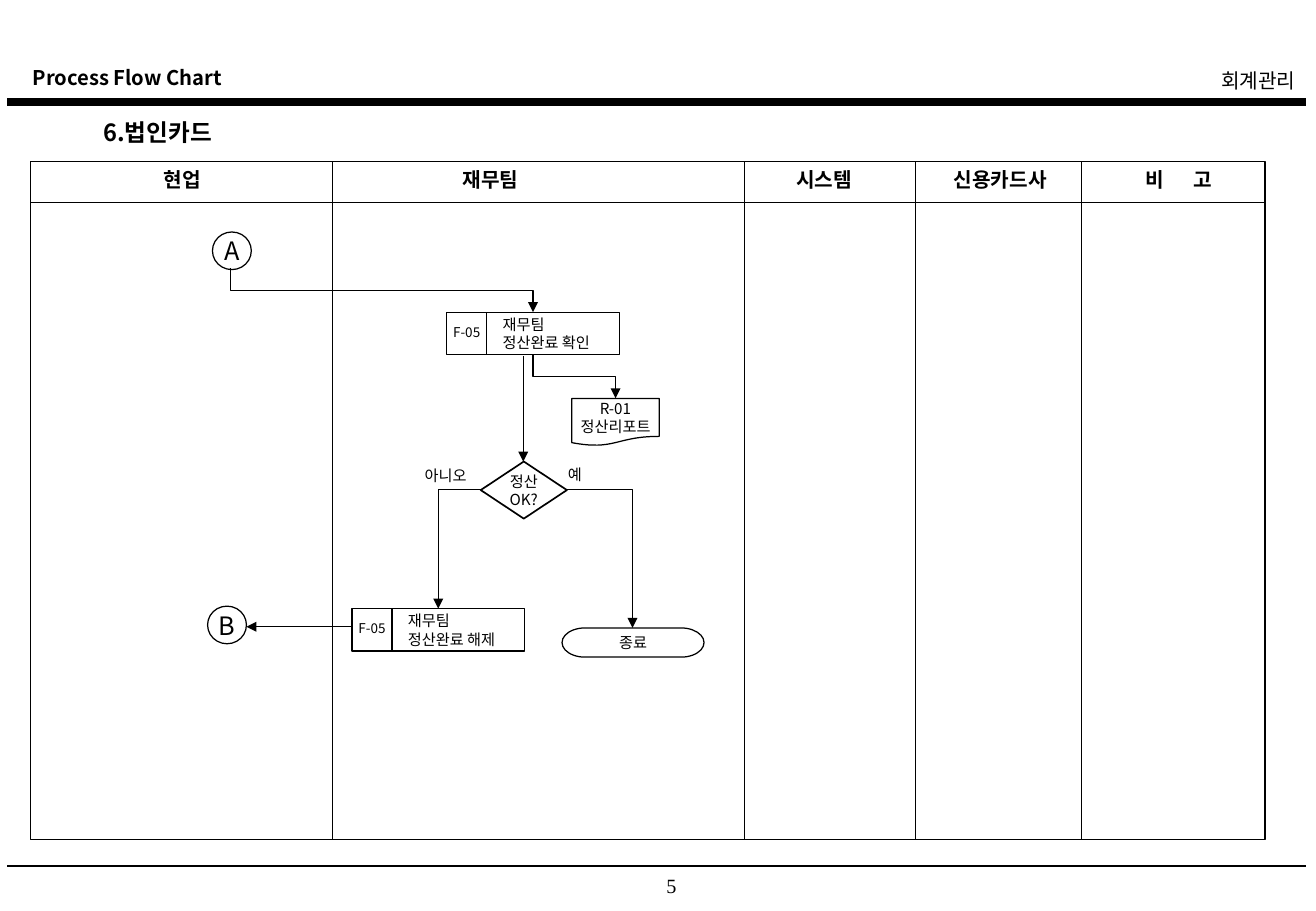
from dataclasses import dataclass

from lxml import etree
from pptx import Presentation, util as u
from pptx.dml.color import RGBColor
from pptx.enum import shapes as kinds, text as t
from pptx.oxml import ns


@dataclass(frozen=True)
class Theme:
    ink: RGBColor = RGBColor(0, 0, 0)
    font: str = "Noto Sans CJK KR"
    number_font: str = "Times New Roman"
    title: float = 14
    header: float = 12
    marker: float = 15
    body: float = 9
    code: float = 8
    thin: float = 0.75
    medium: float = 1
    thick: float = 4.5


theme = Theme()
KIND, ALIGN, ANCHOR = kinds.MSO_SHAPE, t.PP_ALIGN, t.MSO_ANCHOR

presentation = Presentation()
presentation.slide_width, presentation.slide_height = u.Inches(10.84), u.Inches(7.5)
slide = presentation.slides.add_slide(presentation.slide_layouts[5])


def place(words, box, kind=None, owner=slide, shape=None, size=theme.body, bold=False,
          font=theme.font, align=ALIGN.CENTER, anchor=ANCHOR.TOP,
          insets=(0.1, 0.05, 0.1, 0.05), wrap=True, weight=theme.thin, gap=0):
    """Put text in a box, an outlined shape or a given placeholder.

    box is left, top, width, height in inches; gap spreads the letters, in points.
    """
    left, top, width, height = map(u.Inches, box)
    if kind is not None:
        shape = owner.shapes.add_shape(kind, left, top, width, height)
        shape.shadow.inherit = False
        shape.fill.background()
        shape.line.color.rgb = theme.ink
        shape.line.width = u.Pt(weight)
    elif shape is None:
        shape = owner.shapes.add_textbox(left, top, width, height)
    shape.left, shape.top, shape.width, shape.height = left, top, width, height
    frame = shape.text_frame
    frame.auto_size = t.MSO_AUTO_SIZE.NONE
    frame.word_wrap = wrap
    frame.vertical_anchor = anchor
    (frame.margin_left, frame.margin_top,
     frame.margin_right, frame.margin_bottom) = map(u.Inches, insets)
    for index, line in enumerate(words.split("\n")):
        paragraph = frame.add_paragraph() if index else frame.paragraphs[0]
        paragraph.alignment = align
        pieces = list(line) if gap else [line]
        for number, piece in enumerate(pieces, 1):
            run = paragraph.add_run()
            run.text = piece
            run.font.size, run.font.bold, run.font.name = u.Pt(size), bold, font
            run.font.color.rgb = theme.ink
            properties = run.font._element
            etree.SubElement(properties, ns.qn("a:ea"), typeface=font)
            if number < len(pieces):
                properties.set("spc", str(gap * 100))
    return shape


def link(start, end, weight=theme.thin, arrow=False, preset=None, turn=0, flip=None, owner=slide):
    """Draw a line, or an elbow given by its preset, quarter turns and flip."""
    (x1, y1), (x2, y2) = start, end
    if preset:
        width, height = abs(x2 - x1), abs(y2 - y1)
        if turn % 2:
            width, height = height, width
        x1, y1 = (x1 + x2 - width) / 2, (y1 + y2 - height) / 2
        x2, y2 = x1 + width, y1 + height
    route = kinds.MSO_CONNECTOR.ELBOW if preset else kinds.MSO_CONNECTOR.STRAIGHT
    connector = owner.shapes.add_connector(route, *map(u.Inches, (x1, y1, x2, y2)))
    connector.line.color.rgb = theme.ink
    connector.line.width = u.Pt(weight)
    properties = connector._element.spPr
    if preset:
        properties.find(ns.qn("a:prstGeom")).set("prst", preset)
        transform = properties.find(ns.qn("a:xfrm"))
        transform.set("rot", str(turn * 5400000))
        if flip:
            transform.set(flip, "1")
    if arrow:
        etree.SubElement(properties.find(ns.qn("a:ln")), ns.qn("a:tailEnd"), type="triangle")
    etree.SubElement(properties, ns.qn("a:effectLst"))


# Page frame
place("Process Flow Chart", (0.17, 0.49, 4.35, 0.3), size=theme.header, bold=True, align=ALIGN.LEFT)
place("회계관리", (6.08, 0.51, 4.69, 0.5), size=theme.header, align=ALIGN.RIGHT)
for y, weight in ((0.84, theme.thick), (7.13, theme.medium)):
    link((0.06, y), (10.76, y), weight)
place("6.법인카드", (0.75, 0.92, 1.75, 0.34), shape=slide.shapes.title,
      size=theme.title, bold=True, align=ALIGN.LEFT)
place("5", (5.14, 7.14, 0.78, 0.27), size=theme.header, font=theme.number_font)

# Swimlanes
lane_edges = [0.25, 2.74, 6.13, 7.54, 8.91, 10.42]
lane_top, header_bottom, lane_bottom = 1.33, 1.67, 6.91
left, right = lane_edges[0], lane_edges[-1]
place("", (left, lane_top, right - left, lane_bottom - lane_top), KIND.RECTANGLE)
link((left, header_bottom), (right, header_bottom))
for x in lane_edges[1:-1]:
    link((x, lane_top), (x, lane_bottom))
header_width = 1.5
for name, center, gap in (("현업", 1.5, 0), ("재무팀", 4.04, 0), ("시스템", 6.79, 0),
                          ("신용카드사", 8.24, 0), ("비고", 9.71, 17)):
    place(name, (center - header_width / 2, lane_top, header_width, 0.3),
          size=theme.header, bold=True, gap=gap)

# Page connectors
for letter, x, y in (("A", 1.75, 1.91), ("B", 1.71, 4.99)):
    place(letter, (x, y, 0.32, 0.31), KIND.OVAL, size=theme.marker,
          anchor=ANCHOR.MIDDLE, insets=(0, 0, 0, 0), wrap=False)

# Process steps with a code cell
step_width, step_height, code_width = 1.42, 0.35, 0.33
for words, x, y in (("재무팀\n정산완료 확인", 3.68, 2.57), ("재무팀\n정산완료 해제", 2.9, 5.01)):
    step = slide.shapes.add_group_shape()
    place(words, (x, y, step_width, step_height), KIND.FLOWCHART_PROCESS, step,
          align=ALIGN.LEFT, anchor=ANCHOR.MIDDLE, insets=(code_width + 0.13, 0, 0.05, 0))
    place("F-05", (x, y, code_width, step_height - 0.03), owner=step, size=theme.code,
          anchor=ANCHOR.MIDDLE, insets=(0, 0, 0, 0))
    link((x + code_width, y), (x + code_width, y + step_height), owner=step)

# Report, decision and end
for words, box, kind, weight in (
        ("R-01\n정산리포트", (4.71, 3.28, 0.72, 0.39), KIND.FLOWCHART_DOCUMENT, theme.thin),
        ("정산\nOK?", (3.96, 3.8, 0.71, 0.47), KIND.DIAMOND, theme.medium),
        ("종료", (4.63, 5.17, 1.17, 0.24), KIND.FLOWCHART_TERMINATOR, theme.thin)):
    place(words, box, kind, anchor=ANCHOR.MIDDLE, wrap=False, weight=weight)
for answer, box in (("예", (4.58, 3.78, 0.31, 0.25)), ("아니오", (3.4, 3.79, 0.54, 0.25))):
    place(answer, box, align=ALIGN.LEFT, wrap=False)

# Flow
for start, end, preset, turn, flip in (
        ((1.9, 2.21), (4.39, 2.57), "bentConnector3", 3, "flipH"),
        ((4.39, 2.92), (5.07, 3.28), "bentConnector3", 3, "flipH"),
        ((4.31, 2.93), (4.31, 3.8), None, 0, None),
        ((3.96, 4.03), (3.61, 5.01), "bentConnector2", 2, "flipV"),
        ((4.67, 4.03), (5.21, 5.17), "bentConnector2", 0, None),
        ((2.9, 5.16), (2.03, 5.16), None, 0, None)):
    link(start, end, arrow=True, preset=preset, turn=turn, flip=flip)

presentation.save("out.pptx")
